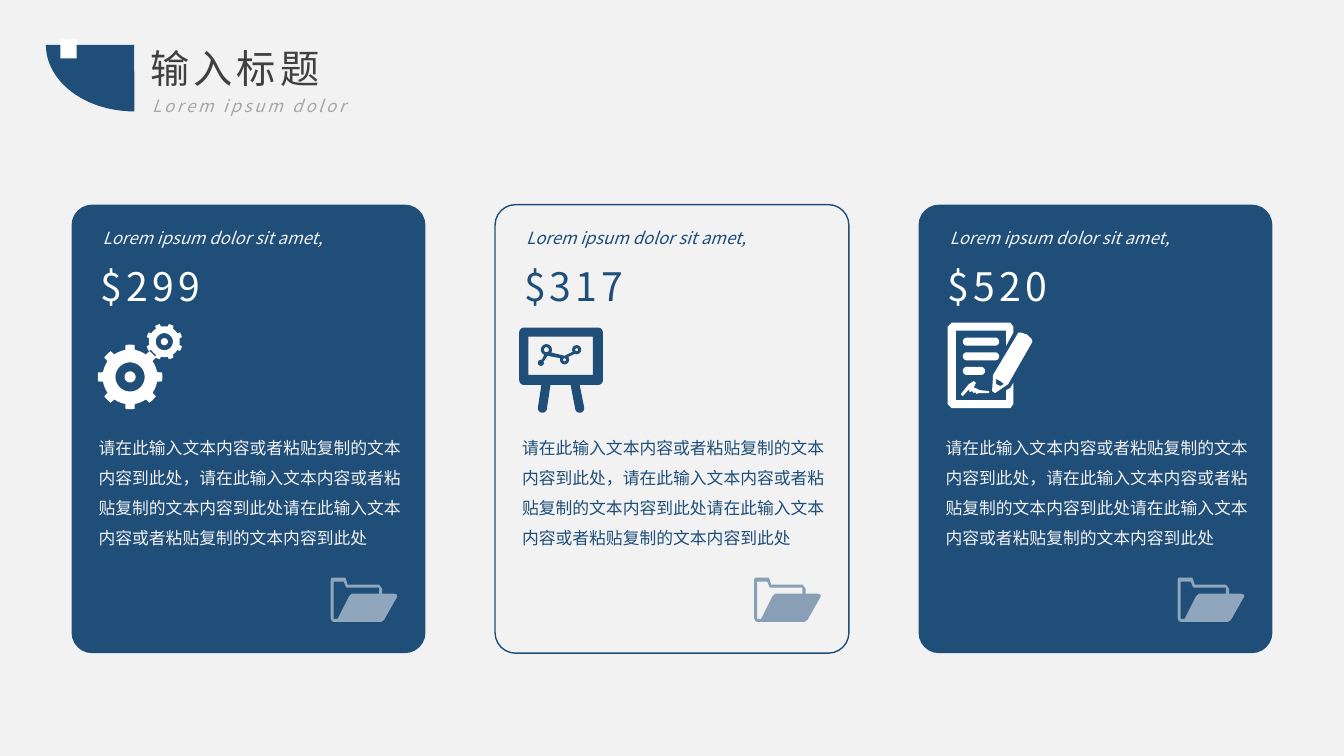
from math import cos, radians, sin

from lxml.etree import SubElement
from pptx import Presentation
from pptx.dml.color import RGBColor
from pptx.enum.shapes import MSO_SHAPE
from pptx.enum.text import MSO_AUTO_SIZE
from pptx.oxml.ns import qn
from pptx.util import Inches, Pt

COLOURS = {
    "navy": "1F4E79",
    "paper": "F2F2F2",
    "white": "FFFFFF",
    "heading": "404040",
    "muted": "A6A6A6",
}
FONT = "Noto Sans CJK SC"
TAGLINE = "Lorem ipsum dolor sit amet,"
SENTENCE = "请在此输入文本内容或者粘贴复制的文本内容到此处"
BODY = SENTENCE + "，" + SENTENCE * 2


def colour(name):
    return RGBColor.from_string(COLOURS[name])


def arc(x, y, radius, start, end):
    steps = max(6, round(abs(end - start) / 12))
    angles = [radians(start + (end - start) * i / steps) for i in range(steps + 1)]
    return [(x + radius * cos(a), y + radius * sin(a)) for a in angles]


def circle(x, y, radius):
    return arc(x, y, radius, 0, 360)


def pill(left, top, width, height):
    radius = height / 2
    middle = top + radius
    return (arc(left + radius, middle, radius, 90, 270)
            + arc(left + width - radius, middle, radius, -90, 90))


def gear(x, y, radius, turn, hole, hub):
    rim = []
    for tooth in range(8):
        angle = turn + tooth * 45
        rim += arc(x, y, radius, angle - 8, angle + 8)
        rim += arc(x, y, radius * 0.85, angle + 10, angle + 35)
    return [rim, circle(x, y, hole), circle(x, y, hub)]


def gears_icon():
    return gear(0.32, 0.53, 0.32, 0, 0.145, 0.055) + gear(0.66, 0.18, 0.18, 22.5, 0.085, 0.035)


def board_icon():
    board = (arc(0.05, 0.05, 0.05, 180, 270) + arc(0.78, 0.05, 0.05, 270, 360)
             + arc(0.78, 0.52, 0.05, 0, 90) + [(0.6, 0.57)]
             + arc(0.6, 0.8, 0.045, -10, 170) + [(0.51, 0.57), (0.31, 0.57)]
             + arc(0.23, 0.8, 0.045, 10, 190) + [(0.22, 0.57)]
             + arc(0.05, 0.52, 0.05, 90, 180))
    window = [(0.09, 0.09), (0.73, 0.09), (0.73, 0.47), (0.09, 0.47)]
    trend = (arc(0.27, 0.22, 0.055, 120, 390) + [(0.45, 0.28), (0.53, 0.24)]
             + arc(0.57, 0.22, 0.045, 170, 475) + [(0.49, 0.29)]
             + arc(0.45, 0.32, 0.045, -30, 200) + [(0.28, 0.28), (0.24, 0.34)]
             + arc(0.215, 0.35, 0.03, 0, 285) + [(0.25, 0.27)])
    return [board, window, trend, circle(0.27, 0.22, 0.025),
            circle(0.57, 0.22, 0.015), circle(0.45, 0.32, 0.015)]


def contract_icon():
    sheet = [(0.04, 0), (0.62, 0), (0.65, 0.04), (0.65, 0.1), (0.58, 0.23),
             (0.58, 0.08), (0.08, 0.08), (0.08, 0.77), (0.58, 0.77), (0.58, 0.67),
             (0.62, 0.65), (0.65, 0.6), (0.65, 0.81), (0.62, 0.85), (0.04, 0.85),
             (0, 0.81), (0, 0.04)]
    pencil = [(0.7, 0.1), (0.73, 0.1), (0.79, 0.12), (0.83, 0.16), (0.84, 0.19),
              (0.6, 0.61), (0.47, 0.7), (0.44, 0.68), (0.45, 0.52)]
    tip = [(0.48, 0.56), (0.48, 0.61), (0.52, 0.63), (0.56, 0.61), (0.52, 0.58)]
    signature = [(0.26, 0.58), (0.28, 0.6), (0.26, 0.64), (0.27, 0.65), (0.3, 0.66),
                 (0.31, 0.67), (0.41, 0.68), (0.41, 0.7), (0.3, 0.7), (0.29, 0.71),
                 (0.27, 0.69), (0.26, 0.7), (0.24, 0.68), (0.22, 0.69), (0.21, 0.67),
                 (0.23, 0.64), (0.15, 0.73), (0.13, 0.71), (0.21, 0.61)]
    rows = [pill(0.15, 0.15 + 0.145 * i, width, 0.08)
            for i, width in enumerate((0.36, 0.36, 0.22))]
    return [sheet, pencil, tip, signature] + rows


def folder_icon():
    cover = [(0.5, 0.44), (0.53, 0.42), (0.66, 0.19), (0.66, 0.17), (0.63, 0.16),
             (0.51, 0.16), (0.51, 0.11), (0.48, 0.07), (0.17, 0.07), (0.15, 0.01),
             (0.14, 0), (0.01, 0), (0, 0.02), (0, 0.4), (0.01, 0.43), (0.03, 0.44)]
    opening = [(0.48, 0.16), (0.21, 0.16), (0.18, 0.19), (0.07, 0.41), (0.03, 0.41),
               (0.03, 0.04), (0.13, 0.04), (0.15, 0.09), (0.16, 0.1), (0.48, 0.1)]
    return [cover, opening]


def paint(shape, fill, line=None):
    shape.shadow.inherit = False
    if fill:
        shape.fill.solid()
        shape.fill.fore_color.rgb = colour(fill)
    else:
        shape.fill.background()
    if line:
        shape.line.color.rgb = colour(line)
        shape.line.width = Pt(1)
    else:
        shape.line.fill.background()


def add_icon(group, contours, left, top, fill, alpha=None):
    placed = [[(Inches(left + x), Inches(top + y)) for x, y in contour]
              for contour in contours]
    builder = group.shapes.build_freeform(*placed[0][0])
    for contour in placed:
        if contour is not placed[0]:
            builder.move_to(*contour[0])
        builder.add_line_segments(contour[1:], close=True)
    icon = builder.convert_to_shape()
    paint(icon, fill)
    if alpha:
        tint = icon.element.spPr.find(".//" + qn("a:srgbClr"))
        SubElement(tint, qn("a:alpha")).set("val", str(alpha * 1000))


def add_text(group, box, text, size, fill, italic=False, spacing=0, leading=None):
    frame = group.shapes.add_textbox(*map(Inches, box)).text_frame
    frame.word_wrap = True
    frame.auto_size = MSO_AUTO_SIZE.SHAPE_TO_FIT_TEXT
    para = frame.paragraphs[0]
    if leading:
        para.line_spacing = leading
    span = para.add_run()
    span.text = text
    span.font.size = Pt(size)
    span.font.color.rgb = colour(fill)
    span.font.name = FONT
    if italic:
        span.font.italic = True
    properties = span.font._element
    SubElement(properties, qn("a:ea")).set("typeface", FONT)
    if spacing:
        properties.set("spc", str(spacing * 100))


def add_header(page, left, top):
    group = page.shapes.add_group_shape()
    fan = group.shapes.add_shape(
        MSO_SHAPE.PIE, Inches(left + 0.07), Inches(top - 0.82), Inches(1.32), Inches(1.75))
    fan.adjustments[0], fan.adjustments[1] = 107.8, 162
    fan.rotation = 270
    paint(fan, "navy")
    tab = group.shapes.add_shape(
        MSO_SHAPE.RECTANGLE, Inches(left), Inches(top), Inches(0.16), Inches(0.19))
    paint(tab, "white")
    add_text(group, (left + 0.79, top, 2.13, 0.57), "输入标题", 28, "heading", spacing=3)
    add_text(group, (left + 0.81, top + 0.41, 2.48, 0.37), "Lorem ipsum dolor", 12,
             "muted", italic=True, spacing=2, leading=1.5)


def add_card(page, box, price, icon, icon_offset, solid):
    left, top, width, height = box
    group = page.shapes.add_group_shape()
    panel = group.shapes.add_shape(MSO_SHAPE.ROUNDED_RECTANGLE, *map(Inches, box))
    panel.adjustments[0] = 0.058
    paint(panel, "navy" if solid else None, None if solid else "navy")
    strong, soft = ("white", "paper") if solid else ("navy", "navy")
    add_text(group, (left + 0.21, top + 0.08, 3.02, 0.37), TAGLINE, 12, soft,
             italic=True, leading=1.5)
    add_text(group, (left + 0.19, top + 0.52, 2.13, 0.57), price, 28, strong, spacing=3)
    add_text(group, (left + 0.17, top + 2.16, 3.24, 1.31), BODY, 12, soft, leading=1.5)
    add_icon(group, icon, left + icon_offset[0], top + icon_offset[1], strong)
    add_icon(group, folder_icon(), left + 2.57, top + 3.7, strong, alpha=50)


def main():
    deck = Presentation()
    deck.slide_width, deck.slide_height = Inches(13.33), Inches(7.5)
    page = deck.slides.add_slide(deck.slide_layouts[6])
    page.background.fill.solid()
    page.background.fill.fore_color.rgb = colour("paper")
    cards = [
        ("$299", gears_icon(), (0.26, 1.18), True),
        ("$317", board_icon(), (0.24, 1.22), False),
        ("$520", contract_icon(), (0.29, 1.17), True),
    ]
    for index, card in enumerate(cards):
        add_card(page, (0.71 + 4.2 * index, 2.03, 3.51, 4.45), *card)
    add_header(page, 0.6, 0.39)
    deck.save("out.pptx")


if __name__ == "__main__":
    main()
